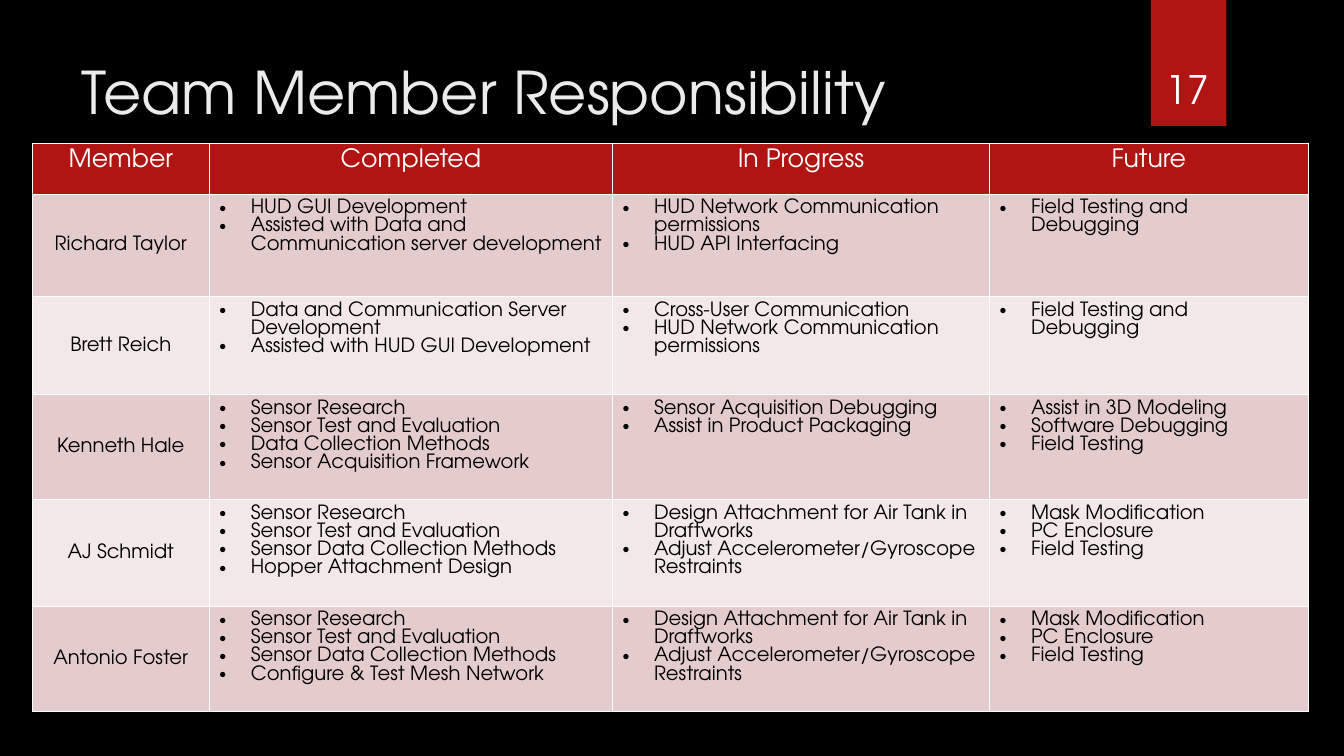
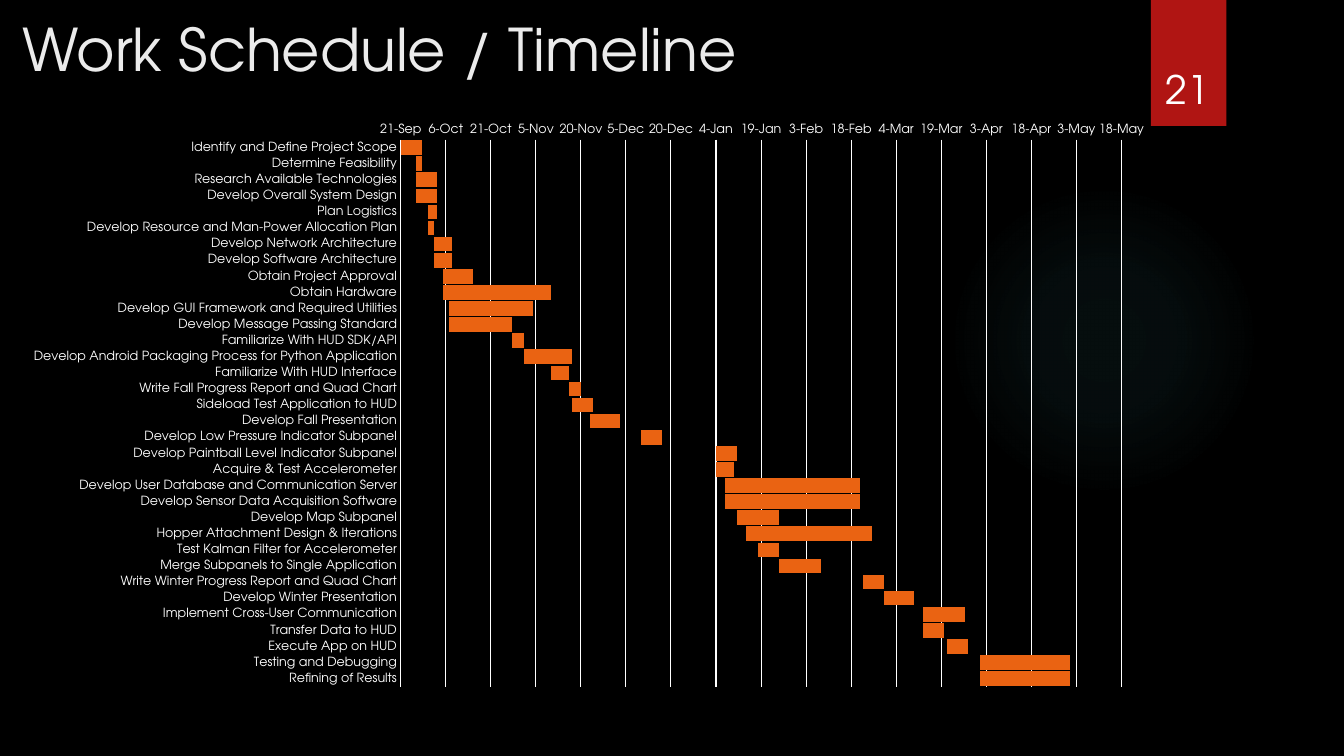
from dataclasses import dataclass
from typing import NamedTuple

import pptx
import pptx.chart.data
import pptx.dml.color
import pptx.enum.chart
import pptx.enum.shapes
import pptx.enum.text
import pptx.oxml
import pptx.oxml.ns
import pptx.util

Pt = pptx.util.Pt
qn = pptx.oxml.ns.qn
ALIGN = pptx.enum.text.PP_ALIGN
ANCHOR = pptx.enum.text.MSO_ANCHOR
SHAPE = pptx.enum.shapes.MSO_SHAPE


@dataclass(frozen=True)
class Theme:
    font: str = "TeX Gyre Adventor"
    background: str = "000000"
    accent: str = "B01513"
    glow: str = "50B9C1"
    title: str = "EBEBEB"
    light: str = "FFFFFF"
    dark: str = "000000"
    bands: tuple[str, str] = ("E4CCCC", "F2E8E7")
    task: str = "EA6312"
    title_size: float = 42
    number_size: float = 28
    header_size: float = 18
    body_size: float = 14
    chart_size: float = 10
    axis_size: float = 9


class Box(NamedTuple):
    left: float
    top: float
    width: float
    height: float

    def lengths(self) -> list[pptx.util.Length]:
        return [Pt(length) for length in self]


class Member(NamedTuple):
    name: str
    completed: list[str]
    in_progress: list[str]
    future: list[str]


class Task(NamedTuple):
    """A bar of the timeline; start is a spreadsheet day number."""
    name: str
    start: int
    days: int


THEME = Theme()
PAGE = (960, 540)
GLOW = Box(677.5, 131.8, 221.8, 221.8)
RIBBON = Box(822, 0, 54, 90)
NUMBER = Box(815, 23, 66.2, 60.5)
TITLE_WIDTH, TITLE_HEIGHT = 740.9, 110.2

HEADINGS = ["Member", "Completed", "In Progress", "Future"]
COLUMN_WIDTHS = [126.3, 288, 269.3, 227.8]
ROW_HEIGHTS = [36.4, 73.2, 70, 75, 76.1, 75.4]
SENSOR_TESTS = ["Sensor Research", "Sensor Test and Evaluation"]
DATA_METHODS = [*SENSOR_TESTS, "Sensor Data Collection Methods"]
PERMISSIONS = "HUD Network Communication permissions"
FIELD_DEBUGGING = ["Field Testing and Debugging"]
ATTACHMENTS = ["Design Attachment for Air Tank in Draftworks",
               "Adjust Accelerometer/Gyroscope Restraints"]
ENCLOSURES = ["Mask Modification", "PC Enclosure", "Field Testing"]
MEMBERS = [
    Member("Richard Taylor",
           ["HUD GUI Development", "Assisted with Data and Communication server development"],
           [PERMISSIONS, "HUD API Interfacing"], FIELD_DEBUGGING),
    Member("Brett Reich",
           ["Data and Communication Server Development", "Assisted with HUD GUI Development"],
           ["Cross-User Communication", PERMISSIONS], FIELD_DEBUGGING),
    Member("Kenneth Hale",
           [*SENSOR_TESTS, "Data Collection Methods", "Sensor Acquisition Framework"],
           ["Sensor Acquisition Debugging", "Assist in Product Packaging"],
           ["Assist in 3D Modeling", "Software Debugging", "Field Testing"]),
    Member("AJ Schmidt", [*DATA_METHODS, "Hopper Attachment Design"], ATTACHMENTS, ENCLOSURES),
    Member("Antonio Foster", [*DATA_METHODS, "Configure & Test Mesh Network"],
           ATTACHMENTS, ENCLOSURES),
]

FIRST_DAY, DAY_STEP, STEPS = 42268, 15, 16
TASKS = [
    Task("Identify and Define Project Scope", 42268, 7),
    Task("Determine Feasibility", 42273, 2),
    Task("Research Available Technologies", 42273, 7),
    Task("Develop Overall System Design", 42273, 7),
    Task("Plan Logistics", 42277, 3),
    Task("Develop Resource and Man-Power Allocation Plan", 42277, 2),
    Task("Develop Network Architecture", 42279, 6),
    Task("Develop Software Architecture", 42279, 6),
    Task("Obtain Project Approval", 42282, 10),
    Task("Obtain Hardware", 42282, 36),
    Task("Develop GUI Framework and Required Utilities", 42284, 28),
    Task("Develop Message Passing Standard", 42284, 21),
    Task("Familiarize With HUD SDK/API", 42305, 4),
    Task("Develop Android Packaging Process for Python Application", 42309, 16),
    Task("Familiarize With HUD Interface", 42318, 6),
    Task("Write Fall Progress Report and Quad Chart", 42324, 4),
    Task("Sideload Test Application to HUD", 42325, 7),
    Task("Develop Fall Presentation", 42331, 10),
    Task("Develop Low Pressure Indicator Subpanel", 42348, 7),
    Task("Develop Paintball Level Indicator Subpanel", 42373, 7),
    Task("Acquire & Test Accelerometer", 42373, 6),
    Task("Develop User Database and Communication Server", 42376, 45),
    Task("Develop Sensor Data Acquisition Software", 42376, 45),
    Task("Develop Map Subpanel", 42380, 14),
    Task("Hopper Attachment Design & Iterations", 42383, 42),
    Task("Test Kalman Filter for Accelerometer", 42387, 7),
    Task("Merge Subpanels to Single Application", 42394, 14),
    Task("Write Winter Progress Report and Quad Chart", 42422, 7),
    Task("Develop Winter Presentation", 42429, 10),
    Task("Implement Cross-User Communication", 42442, 14),
    Task("Transfer Data to HUD", 42442, 7),
    Task("Execute App on HUD", 42450, 7),
    Task("Testing and Debugging", 42461, 30),
    Task("Refining of Results", 42461, 30),
]


def rgb(color: str) -> pptx.dml.color.RGBColor:
    return pptx.dml.color.RGBColor.from_string(color)


def xml(tag: str, body: str):
    """Parse an element whose tag and body use the a: and c: prefixes."""
    name = tag.split()[0]
    return pptx.oxml.parse_xml(
        f"<{tag} {pptx.oxml.ns.nsdecls('a', 'c')}>{body}</{name}>")


def style_font(font, size: float, color: str) -> None:
    font.name = THEME.font
    font.size = Pt(size)
    font.bold = False
    font.color.rgb = rgb(color)


def add_span(para, text: str, size: float, color: str) -> None:
    span = para.add_run()
    span.text = text
    style_font(span.font, size, color)


def add_plain_shape(page, kind, box: Box, color: str):
    shape = page.shapes.add_shape(kind, *box.lengths())
    shape.fill.solid()
    shape.fill.fore_color.rgb = rgb(color)
    shape.line.fill.background()
    shape.shadow.inherit = False
    return shape


def add_glow(page) -> None:
    glow = add_plain_shape(page, SHAPE.OVAL, GLOW, THEME.glow)
    stops = "".join(
        f'<a:gs pos="{place * 1000}"><a:srgbClr val="{THEME.glow}">'
        f'<a:alpha val="{alpha * 1000}"/></a:srgbClr></a:gs>'
        for place, alpha in ((0, 7), (36, 6), (69, 0), (100, 0)))
    gradient = xml("a:gradFill", f'<a:gsLst>{stops}</a:gsLst><a:path path="circle">'
                   '<a:fillToRect l="50000" t="50000" r="50000" b="50000"/></a:path>')
    properties = glow.element.spPr
    properties.replace(properties.find(qn("a:solidFill")), gradient)


def add_ribbon(page, number: int) -> None:
    ribbon = add_plain_shape(page, SHAPE.RECTANGLE, RIBBON, THEME.accent)
    shadow = xml(f'a:outerShdw blurRad="{Pt(3)}" dist="{Pt(2)}" dir="5400000" rotWithShape="0"',
                 '<a:srgbClr val="000000"><a:alpha val="45000"/></a:srgbClr>')
    ribbon.element.spPr.find(qn("a:effectLst")).append(shadow)
    box = page.shapes.add_textbox(*NUMBER.lengths())
    box.text_frame.word_wrap = True
    box.text_frame.vertical_anchor = ANCHOR.BOTTOM
    para = box.text_frame.paragraphs[0]
    para.alignment = ALIGN.CENTER
    add_span(para, str(number), THEME.number_size, THEME.light)


def add_page(deck, title: str, left: float, top: float, number: int):
    page = deck.slides.add_slide(deck.slide_layouts.get_by_name("Title Only"))
    holder = page.shapes.title
    holder.left, holder.top, holder.width, holder.height = Box(
        left, top, TITLE_WIDTH, TITLE_HEIGHT).lengths()
    holder.text_frame.word_wrap = True
    holder.text_frame.vertical_anchor = ANCHOR.TOP
    para = holder.text_frame.paragraphs[0]
    para.alignment = ALIGN.LEFT
    add_span(para, title, THEME.title_size, THEME.title)
    add_glow(page)
    add_ribbon(page, number)
    return page


def style_cell(cell, fill: str) -> None:
    """Give a cell white borders, then its fill, in the order the schema asks for."""
    properties = cell._tc.get_or_add_tcPr()
    for side in "LRTB":
        properties.append(xml(
            f'a:ln{side} w="{Pt(1)}"',
            f'<a:solidFill><a:srgbClr val="{THEME.light}"/></a:solidFill>'))
    cell.fill.solid()
    cell.fill.fore_color.rgb = rgb(fill)


def write_centred(cell, text: str, size: float, color: str) -> None:
    para = cell.text_frame.paragraphs[0]
    para.alignment = ALIGN.CENTER
    add_span(para, text, size, color)


def write_bullets(cell, lines: list[str]) -> None:
    for index, line in enumerate(lines):
        frame = cell.text_frame
        para = frame.add_paragraph() if index else frame.paragraphs[0]
        properties = para._p.get_or_add_pPr()
        properties.set("marL", str(Pt(22.5)))
        properties.set("indent", str(-Pt(22.5)))
        properties.append(xml('a:buFont typeface="Arial"', ""))
        properties.append(xml('a:buChar char="•"', ""))
        add_span(para, line, THEME.body_size, THEME.dark)


def add_member_table(page) -> None:
    box = Box(23.2, 102.4, sum(COLUMN_WIDTHS), sum(ROW_HEIGHTS))
    table = page.shapes.add_table(len(ROW_HEIGHTS), len(HEADINGS), *box.lengths()).table
    table.first_row = table.horz_banding = False
    for column, width in zip(table.columns, COLUMN_WIDTHS):
        column.width = Pt(width)
    for row, height in zip(table.rows, ROW_HEIGHTS):
        row.height = Pt(height)
    for cell, heading in zip(table.rows[0].cells, HEADINGS):
        style_cell(cell, THEME.accent)
        write_centred(cell, heading, THEME.header_size, THEME.light)
    for index, member in enumerate(MEMBERS):
        cells = list(table.rows[index + 1].cells)
        for cell in cells:
            style_cell(cell, THEME.bands[index % 2])
        cells[0].vertical_anchor = ANCHOR.MIDDLE
        write_centred(cells[0], member.name, THEME.body_size, THEME.dark)
        for cell, lines in zip(cells[1:], member[1:]):
            write_bullets(cell, lines)


def style_axis(axis, line) -> None:
    axis.major_tick_mark = axis.minor_tick_mark = pptx.enum.chart.XL_TICK_MARK.NONE
    style_font(axis.tick_labels.font, THEME.axis_size, THEME.light)
    line.color.rgb = rgb(THEME.light)
    line.width = Pt(0.75)


def add_timeline(page) -> None:
    data = pptx.chart.data.CategoryChartData()
    data.categories = [task.name for task in TASKS]
    data.add_series("Series 1", [task.start for task in TASKS])
    data.add_series("Series 2", [task.days for task in TASKS])
    chart = page.shapes.add_chart(pptx.enum.chart.XL_CHART_TYPE.BAR_STACKED,
                                  *Box(16.2, 76.8, 815.8, 424.8).lengths(), data).chart
    chart.has_title = chart.has_legend = False
    style_font(chart.font, THEME.chart_size, THEME.light)
    plot = chart.plots[0]
    plot.gap_width, plot.overlap, plot.vary_by_categories = 10, 100, False
    starts, durations = plot.series
    starts.format.fill.background()
    durations.format.fill.solid()
    durations.format.fill.fore_color.rgb = rgb(THEME.task)

    names, days = chart.category_axis, chart.value_axis
    names.reverse_order = True
    names.has_major_gridlines = False
    style_axis(names, names.format.line)
    days.has_major_gridlines = True
    style_axis(days, days.major_gridlines.format.line)
    days.format.line.fill.background()
    days.minimum_scale = FIRST_DAY
    days.maximum_scale = FIRST_DAY + DAY_STEP * STEPS
    days.major_unit = DAY_STEP
    days.tick_labels.number_format = r"d\-mmm"
    days.tick_labels.number_format_is_linked = False

    area = chart._chartSpace.chart.plotArea
    for layout in area.findall(qn("c:layout")):
        area.remove(layout)
    places = "".join(f'<c:{name} val="{value}"/>' for name, value in (
        ("layoutTarget", "inner"), ("xMode", "edge"), ("yMode", "edge"),
        ("x", 0.331), ("y", 0.054), ("w", 0.631), ("h", 0.92)))
    area.insert(0, xml("c:layout", f"<c:manualLayout>{places}</c:manualLayout>"))


def main() -> None:
    deck = pptx.Presentation()
    deck.slide_width, deck.slide_height = map(Pt, PAGE)
    backdrop = deck.slide_master.background.fill
    backdrop.solid()
    backdrop.fore_color.rgb = rgb(THEME.background)
    add_member_table(add_page(deck, "Team Member Responsibility", 51, 36, 17))
    add_timeline(add_page(deck, "Work Schedule / Timeline", 8.6, 5.8, 21))
    deck.save("out.pptx")


if __name__ == "__main__":
    main()
